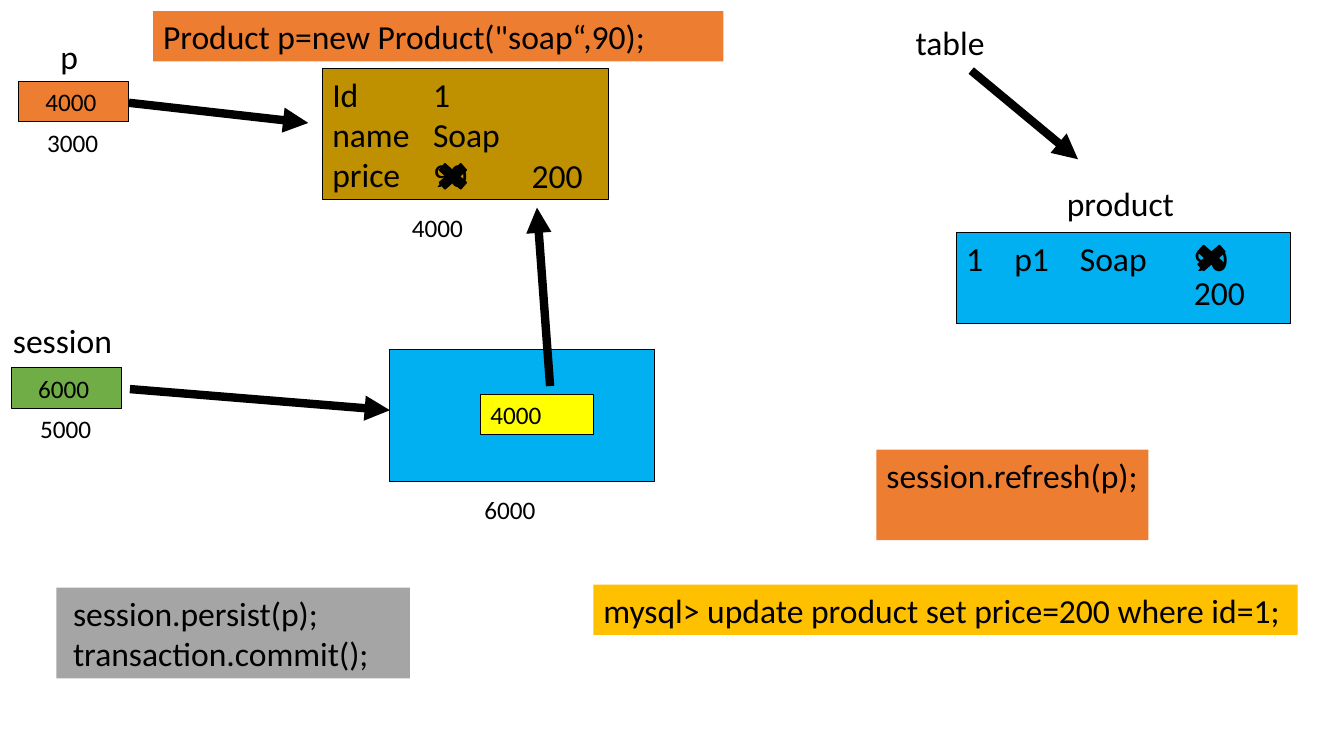
from lxml.etree import SubElement
from pptx import Presentation
from pptx.dml.color import RGBColor
from pptx.enum.shapes import MSO_CONNECTOR, MSO_SHAPE
from pptx.enum.text import MSO_ANCHOR, PP_ALIGN
from pptx.oxml.ns import qn
from pptx.util import Inches, Pt

COLORS = {
    "black": "000000",
    "orange": "ED7D31",
    "brown": "BF9000",
    "blue": "00B0F0",
    "green": "70AD47",
    "yellow": "FFFF00",
    "gold": "FFC000",
    "grey": "A5A5A5",
}
FONT = "Calibri"
CELL = 0.1
LARGE, SMALL = 24, 18


def color(name):
    return RGBColor.from_string(COLORS[name])


def grid(*cells):
    return [Inches(n * CELL) for n in cells]


def add_tabs(p, stops):
    tab_list = SubElement(p._p.get_or_add_pPr(), qn("a:tabLst"))
    for stop in grid(*stops):
        SubElement(tab_list, qn("a:tab"), pos=str(stop), algn="l")


def write(sp, lines, size, inset=1, tabs=()):
    tf = sp.text_frame
    tf.word_wrap = True
    tf.vertical_anchor = MSO_ANCHOR.TOP
    tf.margin_left, tf.margin_right = grid(inset, 0)
    tf.margin_top = tf.margin_bottom = Inches(0.05)
    for i, line in enumerate(lines):
        p = tf.paragraphs[0] if i == 0 else tf.add_paragraph()
        p.alignment = PP_ALIGN.LEFT
        if tabs:
            add_tabs(p, tabs)
        r = p.add_run()
        r.text = line
        r.font.name = FONT
        r.font.size = Pt(size)
        r.font.color.rgb = color("black")


def add_box(s, at, fill, lines=(), size=LARGE, outline=0.75, shape=MSO_SHAPE.RECTANGLE, **layout):
    sp = s.shapes.add_shape(shape, *grid(*at))
    sp.shadow.inherit = False
    sp.fill.solid()
    sp.fill.fore_color.rgb = color(fill)
    if outline:
        sp.line.color.rgb = color("black")
        sp.line.width = Pt(outline)
    else:
        sp.line.fill.background()
    if lines:
        write(sp, lines, size, **layout)


def add_label(s, at, text, size=LARGE, inset=1):
    write(s.shapes.add_textbox(*grid(*at)), [text], size, inset)


def add_arrow(s, start, end):
    c = s.shapes.add_connector(MSO_CONNECTOR.STRAIGHT, *grid(*start, *end))
    c.line.color.rgb = color("black")
    c.line.width = Pt(6)
    SubElement(c.line._get_or_add_ln(), qn("a:tailEnd"), type="triangle")
    SubElement(c._element.spPr, qn("a:effectLst"))


def add_cross(s, left, top):
    add_box(s, (left, top, 4.1, 3.6), "black", outline=1, shape=MSO_SHAPE.MATH_MULTIPLY)


def add_variable(s, left, top, fill, value, address):
    add_box(s, (left, top, 11, 4), fill, [value], SMALL, inset=2.7)
    add_label(s, (left + 1.9, top + 4, 7.3, 4), address, SMALL)


def add_code(s, at, fill, lines, inset=1):
    add_box(s, at, fill, lines, outline=0, inset=inset)


def draw_product_object(s):
    add_label(s, (3.4, 3.1, 8.4, 5), "p", inset=2.6)
    add_variable(s, 1.8, 8.1, "orange", "4000", "3000")
    add_box(s, (32, 6.8, 28.4, 13), "brown", ["Id\t1", "name\tSoap", "price\t90"], tabs=[10])
    add_label(s, (51.8, 14.9, 7.6, 5), "200")
    add_cross(s, 42.9, 15.7)
    add_label(s, (39.9, 20.6, 7.3, 4), "4000", SMALL)
    add_arrow(s, (12.8, 10.2), (30.6, 12.2))


def draw_session(s):
    add_label(s, (0.3, 31.2, 14.3, 5), "session")
    add_variable(s, 1.1, 36.5, "green", "6000", "5000")
    add_box(s, (38.7, 34.7, 26.3, 13.1), "blue")
    add_box(s, (47.7, 39.1, 11.2, 4), "yellow", ["4000"], SMALL)
    add_label(s, (47.1, 48.5, 8.1, 4), "6000", SMALL)
    add_arrow(s, (12.9, 38.6), (38.7, 40.7))
    add_arrow(s, (54.6, 38.3), (53.3, 20.6))


def draw_table_row(s):
    add_label(s, (89.9, 1.7, 11.7, 5), "table")
    add_arrow(s, (96.4, 7), (107, 15.8))
    add_label(s, (104.9, 17.7, 16.1, 5), "product")
    add_box(s, (94.9, 23.1, 33.2, 9), "blue", ["1\tp1\tSoap\t90"], tabs=[4.8, 11.3, 22.6])
    add_cross(s, 118.2, 23.8)
    add_label(s, (116.8, 26.5, 8.5, 5), "200", inset=1.7)


def draw_code(s):
    add_code(s, (15.2, 1.1, 56.6, 5), "orange", ['Product p=new Product("soap“,90);'])
    add_code(s, (87, 44.6, 27, 9), "orange", ["session.refresh(p);"])
    add_code(s, (5.6, 58.3, 35.1, 9), "grey", ["session.persist(p);", "transaction.commit();"], 1.65)
    add_code(s, (58.9, 58, 69.9, 5), "gold", ["mysql> update product set price=200 where id=1;"])


def main():
    prs = Presentation()
    prs.slide_width, prs.slide_height = Inches(13.34), Inches(7.5)
    s = prs.slides.add_slide(prs.slide_layouts[6])
    draw_product_object(s)
    draw_session(s)
    draw_table_row(s)
    draw_code(s)
    prs.save("out.pptx")


if __name__ == "__main__":
    main()
